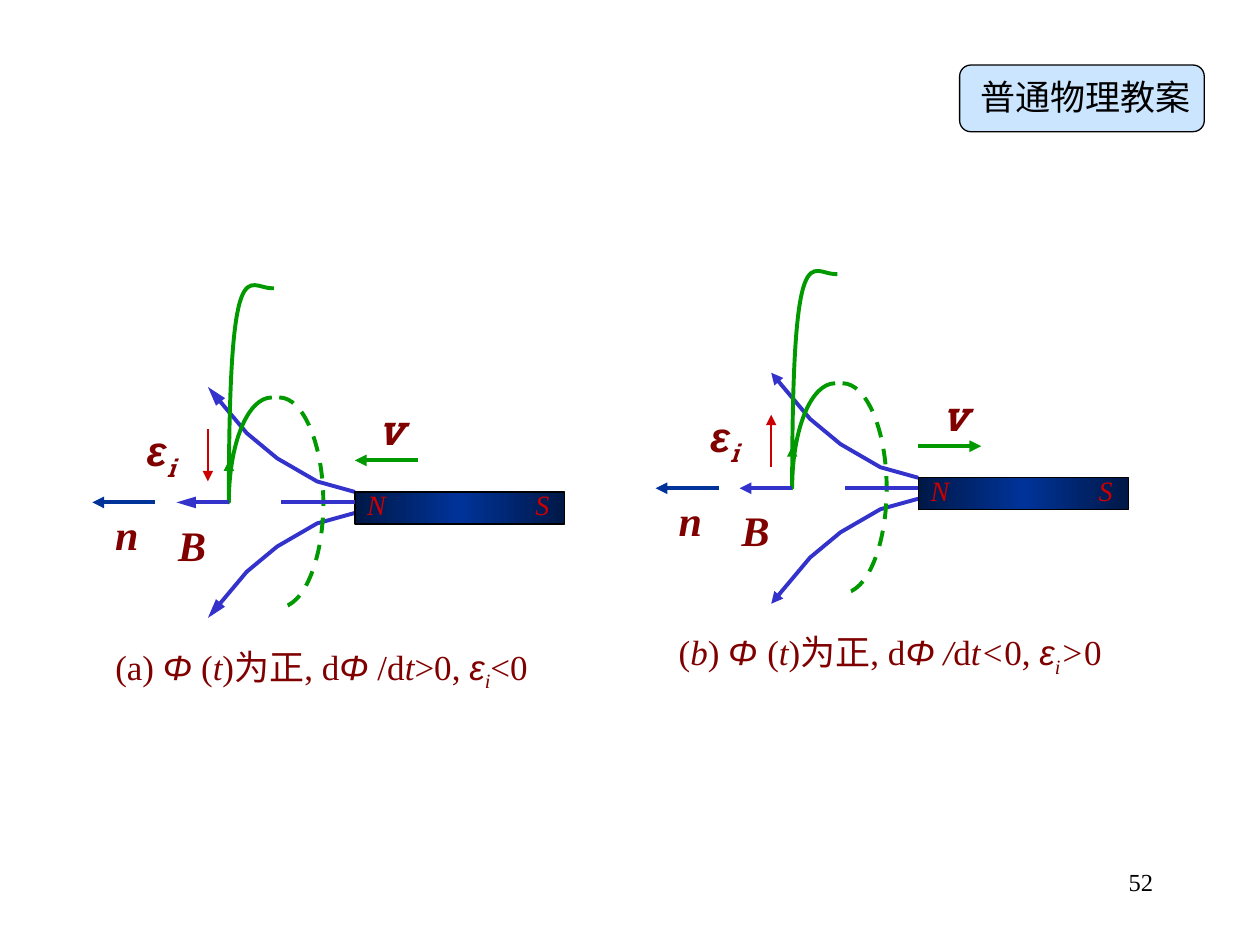
from copy import deepcopy
from dataclasses import dataclass

from pptx import Presentation
from pptx.dml.color import RGBColor
from pptx.enum.dml import MSO_LINE
from pptx.enum.shapes import MSO_CONNECTOR, MSO_SHAPE
from pptx.enum.text import MSO_AUTO_SIZE, PP_ALIGN
from pptx.oxml.ns import qn
from pptx.util import Inches, Pt
from lxml.etree import SubElement


@dataclass(frozen=True)
class Theme:
    serif: str = "Times New Roman"
    sans: str = "Arial"
    slab: str = "Roboto Slab"
    ink: str = "000000"
    label: str = "800000"
    red: str = "CC0000"
    field: str = "3333CC"
    normal: str = "003399"
    dark: str = "001847"
    loop: str = "009900"
    banner: str = "99CCFF"
    page_size: int = 14
    pole_size: int = 16
    body_size: int = 20
    vector_size: int = 24
    thin: float = 0.75
    medium: float = 1.5
    thick: float = 2.25


T = Theme()
RM = {"name": T.serif, "italic": False}
IT = {"name": T.serif, "italic": True}
GREEK = {"name": T.sans, "italic": True}
SUB = {"name": T.serif, "italic": True, "baseline": -25000}
VECTOR = {"name": T.serif, "bold": True, "italic": True}
SLAB = {**VECTOR, "name": T.slab}
SLAB_SUB = {**SLAB, "baseline": -25000}


class Canvas:
    """Draws on a grid of 12 cells to the inch, measured from a movable origin."""

    def __init__(self, slide):
        self.slide, self.shapes = slide, slide.shapes
        self.x = self.y = 0

    def start_group(self, x, y):
        self.x, self.y = x, y
        self.shapes = self.slide.shapes.add_group_shape().shapes

    def point(self, x, y):
        return Inches((self.x + x) / 12), Inches((self.y + y) / 12)

    def box(self, x, y, w, h):
        return *self.point(x, y), Inches(w / 12), Inches(h / 12)

    def stroke(self, sp, color, width, head=None, dash=None):
        """Style an outline; head is the arrowhead length at the far end."""
        sp.line.color.rgb = RGBColor.from_string(color)
        sp.line.width = Pt(width)
        if dash:
            sp.line.dash_style = dash
        if head:
            SubElement(sp.line._get_or_add_ln(), qn("a:tailEnd"),
                       type="triangle", w="med", len=head)

    def arrow(self, start, end, color, width=T.thick, head="med"):
        line = self.shapes.add_connector(
            MSO_CONNECTOR.STRAIGHT, *self.point(*start), *self.point(*end))
        self.stroke(line, color, width, head)
        SubElement(line._element.spPr, qn("a:effectLst"))

    def outline(self, points, color, head=None, dash=None):
        first, *rest = [self.point(*p) for p in points]
        builder = self.shapes.build_freeform(*first)
        builder.add_line_segments(rest, close=False)
        sp = builder.convert_to_shape()
        sp.shadow.inherit = False
        sp.fill.background()
        self.stroke(sp, color, T.thick, head, dash)
        return sp

    def curve(self, frame, start, cubics, color, dash=None):
        """Bezier outline; frame gives the left, top, right and bottom."""
        left, top, right, bottom = frame
        sp = self.outline([(left, top), (right, bottom)], color, dash=dash)
        track = sp._element.spPr.find(".//" + qn("a:path"))
        for child in list(track):
            track.remove(child)
        steps = [("a:moveTo", [start])] + [("a:cubicBezTo", c) for c in cubics]
        for tag, points in steps:
            step = SubElement(track, qn(tag))
            for x, y in points:
                SubElement(step, qn("a:pt"), x=str(Inches((x - left) / 12)),
                           y=str(Inches((y - top) / 12)))

    def shape(self, kind, *box):
        sp = self.shapes.add_shape(kind, *self.box(*box))
        sp.shadow.inherit = False
        self.stroke(sp, T.ink, T.thin)
        return sp

    def magnet(self, *box):
        sp = self.shape(MSO_SHAPE.RECTANGLE, *box)
        sp.fill.gradient()
        sp.fill.gradient_angle = 0
        stops = sp._element.spPr.find(".//" + qn("a:gsLst"))
        stops.append(deepcopy(stops[0]))
        bands = [(0, T.dark), (0.5, T.normal), (1, T.dark)]
        for stop, (position, color) in zip(sp.fill.gradient_stops, bands):
            stop.position = position
            stop.color.rgb = RGBColor.from_string(color)

    def banner(self, *box):
        sp = self.shape(MSO_SHAPE.ROUNDED_RECTANGLE, *box)
        sp.adjustments[0] = 0.167
        sp.fill.solid()
        sp.fill.fore_color.rgb = RGBColor.from_string(T.banner)
        color = sp._element.spPr.find(qn("a:solidFill"))[0]
        SubElement(color, qn("a:alpha"), val="50000")

    def text(self, box, runs, size, color, align=None, before=0, inset=True):
        tf = self.shapes.add_textbox(*self.box(*box)).text_frame
        tf.word_wrap = True
        if before:
            tf.auto_size = MSO_AUTO_SIZE.SHAPE_TO_FIT_TEXT
        if not inset:
            for side in ("left", "top", "right", "bottom"):
                setattr(tf, f"margin_{side}", 0)
        p = tf.paragraphs[0]
        p.alignment = align
        p.space_before = Pt(before)
        for words, style in runs:
            r = p.add_run()
            r.text = words
            r.font.size = Pt(size)
            r.font.color.rgb = RGBColor.from_string(color)
            for key, value in style.items():
                if key == "baseline":
                    r._r.get_or_add_rPr().set(key, str(value))
                else:
                    setattr(r.font, key, value)


def panel(s, origin, head, velocity, emf, caption):
    """One loop-and-magnet figure; the origin is the left end of the loop."""
    s.start_group(*origin)
    for side in (1, -1):
        field = [(12, 1), (8.4, 2), (4.6, 4.2), (1.7, 6.6), (-2, 11)]
        s.outline([(x, side * y) for x, y in field], T.field, head)
    s.magnet(12, -1, 20, 3.05)
    for pole, x in (("N", 12), ("S", 28)):
        s.text((x, -2, 7, 4.4), [(pole, IT)], T.pole_size, T.red, before=10)

    s.curve((0, -10, 4.3, 10), (4.1, -10),
            [[(1.8, -10), (0, -5.6), (0, 0)],
             [(0, -24.8), (1.8, -20.4), (4.1, -20.4)],
             [(4.2, -20.4), (4.2, -20.4), (4.3, -20.4)]], T.loop)
    s.curve((4.7, -10, 9, 10), (4.8, -10),
            [[(7.1, -10), (9, -5.5), (9, 0)],
             [(9, 5.5), (7.1, 10), (4.8, 10)],
             [(4.8, 10), (4.7, 10), (4.7, 10)]], T.loop, MSO_LINE.DASH)

    s.arrow((12, 0), (5, 0), T.field, head=None)
    s.arrow((0, 0), (-5, 0), T.field, head=head)
    s.arrow((0, -2), (0, -4), T.loop, T.medium)
    s.arrow((-7, 0), (-13, 0), T.normal)
    s.arrow(*[(x, -4) for x in velocity], T.loop)
    s.arrow(*[(-2, y) for y in emf], T.red, T.medium)

    labels = [(-12, 0, 6, [("n", VECTOR)]), (-6, 1, 6, [("B", VECTOR)]),
              (13, -10, 6, [("v", SLAB)]),
              (-9, -8, 6.7, [("ε", {**VECTOR, "name": T.sans}), ("i", SLAB_SUB)])]
    for x, y, h, runs in labels:
        s.text((x, y, 11, h), runs, T.vector_size, T.label, before=15)
    s.text((-12, 13, 46, 5.8), caption, T.body_size, T.label, before=12.5)


def main():
    prs = Presentation()
    prs.slide_width, prs.slide_height = Inches(10), Inches(7.5)
    s = Canvas(prs.slides.add_slide(prs.slide_layouts[6]))

    s.text((86, 82, 25, 6), [("52", RM)], T.page_size, T.ink, PP_ALIGN.RIGHT)
    flux = [("t", IT), (")为正, d", RM), ("Φ", GREEK)]
    panel(s, (21.8, 47.85), "lg", (18, 12), (-7, -2),
          [("(a) ", RM), ("Φ", GREEK), (" (", RM), *flux, (" /d", RM), ("t", IT),
           (">0, ", RM), ("ε", GREEK), ("i", SUB), ("<0", RM)])
    panel(s, (75.45, 46.5), "med", (12, 18), (-2, -7),
          [("(", RM), ("b", IT), (") ", RM), ("Φ ", GREEK), ("(", RM), *flux,
           (" /", IT), ("d", RM), ("t<", IT), ("0, ", RM), ("ε", GREEK),
           ("i", SUB), (">", IT), ("0", RM)])

    s.start_group(91.4, 6.2)
    s.banner(0, 0, 23.3, 6.35)
    s.text((2, 1, 23.3, 4.7), [("普通物理教案", RM)], T.body_size, T.ink,
           PP_ALIGN.JUSTIFY, inset=False)
    prs.save("out.pptx")


if __name__ == "__main__":
    main()
